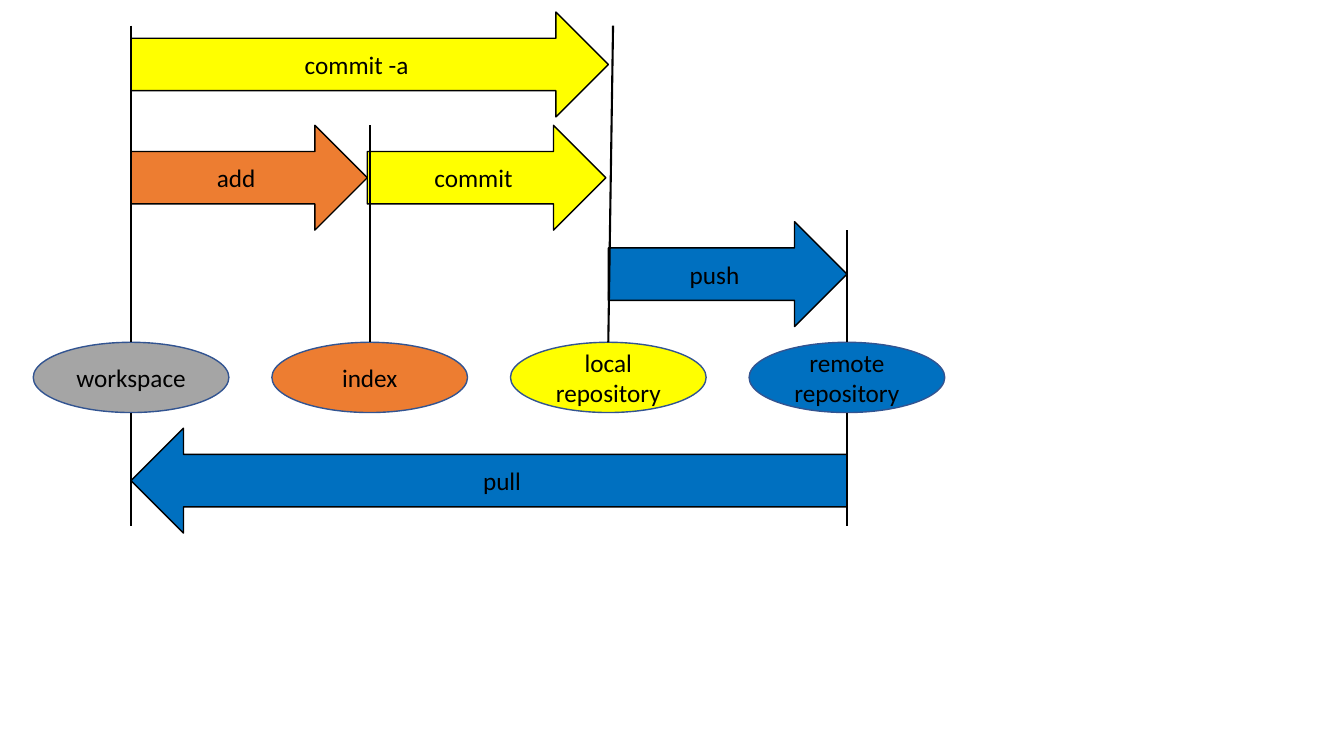
from dataclasses import dataclass

from lxml import etree
from pptx import Presentation
from pptx import util as u
from pptx.dml.color import RGBColor
from pptx.enum import shapes, text
from pptx.oxml import ns

BLACK = RGBColor(0x00, 0x00, 0x00)
GRAY = RGBColor(0xA5, 0xA5, 0xA5)
ORANGE = RGBColor(0xED, 0x7D, 0x31)
YELLOW = RGBColor(0xFF, 0xFF, 0x00)
BLUE = RGBColor(0x00, 0x70, 0xC0)
NAVY = RGBColor(0x32, 0x54, 0x91)

RIGHT = shapes.MSO_SHAPE.RIGHT_ARROW
LEFT = shapes.MSO_SHAPE.LEFT_ARROW
STAGE_TOP, STAGE_BOTTOM, STAGE_WIDTH = 3.15, 3.82, 0.82

STAGES = [("workspace", GRAY), ("index", ORANGE),
          ("local repository", YELLOW), ("remote repository", BLUE)]
COMMANDS = [("commit -a", RIGHT, YELLOW, 0, 2, 0),
            ("commit", RIGHT, YELLOW, 0.99, 1.99, 1.08),
            ("add", RIGHT, ORANGE, 0, 0.99, 1.08),
            ("push", RIGHT, BLUE, 2, 3, 2),
            ("pull", LEFT, BLUE, 0, 3, 3.97)]
LIFELINES = [(0, 0.13, 0, STAGE_TOP), (1, 1.08, 1, STAGE_TOP),
             (2.02, 0.13, 2, STAGE_TOP), (3, 2.08, 3, STAGE_TOP),
             (3, STAGE_BOTTOM, 3, 4.9), (0, STAGE_BOTTOM, 0, 4.9)]


@dataclass
class Grid:
    """Box whose columns are stages and whose rows are arrow heights."""
    left: float
    top: float
    column: float
    row: float

    def point(self, column, row):
        """Return the slide position of a grid point."""
        return (u.Inches(self.left + column * self.column),
                u.Inches(self.top + row * self.row))


def add_label_shape(page, grid, kind, start, end, label, fill, outline):
    """Add a filled, labelled shape between two grid points."""
    left, top = grid.point(*start)
    right, bottom = grid.point(*end)
    shape = page.shapes.add_shape(kind, left, top, right - left, bottom - top)
    shape.shadow.inherit = False
    shape.fill.solid()
    shape.fill.fore_color.rgb = fill
    shape.line.color.rgb = outline
    shape.line.width = u.Pt(1)
    frame = shape.text_frame
    frame.word_wrap = True
    frame.vertical_anchor = text.MSO_ANCHOR.MIDDLE
    para = frame.paragraphs[0]
    para.text = label
    para.alignment = text.PP_ALIGN.CENTER
    para.font.name = "Calibri"
    para.font.size = u.Pt(18)
    para.font.color.rgb = BLACK


def add_commands(page, grid):
    """Add the command arrows that span the stages."""
    for label, kind, fill, start, end, row in COMMANDS:
        add_label_shape(page, grid, kind, (start, row), (end, row + 1),
                        label, fill, BLACK)


def add_stages(page, grid):
    """Add one ellipse centred on each column."""
    for column, (label, fill) in enumerate(STAGES):
        add_label_shape(page, grid, shapes.MSO_SHAPE.OVAL,
                        (column - STAGE_WIDTH / 2, STAGE_TOP),
                        (column + STAGE_WIDTH / 2, STAGE_BOTTOM),
                        label, fill, NAVY)


def add_lifelines(page, grid):
    """Add the lines above and below the stages."""
    for start_column, start_row, end_column, end_row in LIFELINES:
        line = page.shapes.add_connector(
            shapes.MSO_CONNECTOR.STRAIGHT,
            *grid.point(start_column, start_row),
            *grid.point(end_column, end_row))
        line.line.color.rgb = BLACK
        line.line.width = u.Pt(1.5)
        etree.SubElement(line._element.spPr, ns.qn("a:effectLst"))


def build_workflow(page, grid):
    """Draw the version control workflow from back to front."""
    add_commands(page, grid)
    add_stages(page, grid)
    add_lifelines(page, grid)


def main():
    """Build and save the deck."""
    deck = Presentation()
    deck.slide_width, deck.slide_height = u.Inches(13.33), u.Inches(7.5)
    page = deck.slides.add_slide(deck.slide_layouts[6])
    build_workflow(page, Grid(left=1.3, top=0.12, column=7.1 / 3, row=1.04))
    deck.save("out.pptx")


main()
